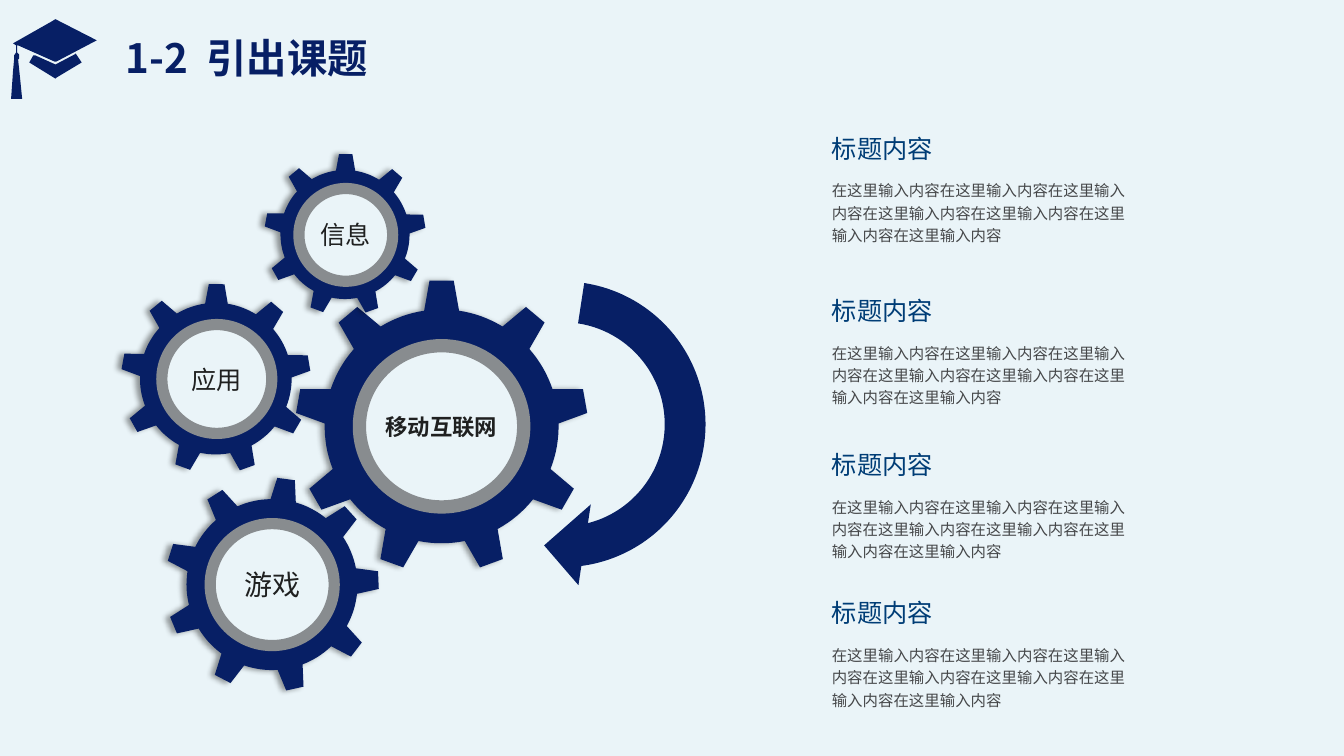
from math import cos, pi, radians, sin

from lxml.etree import SubElement
from pptx import Presentation
from pptx.dml.color import RGBColor
from pptx.enum.shapes import MSO_SHAPE as Shape
from pptx.enum.text import MSO_ANCHOR as Anchor, MSO_AUTO_SIZE as AutoSize, PP_ALIGN as Align
from pptx.oxml.ns import qn
from pptx.util import Inches, Pt

COLORS = {
    "background": "EAF4F8", "navy": "071F65", "ring": "888C8F",
    "hub_text": "1F2020", "heading": "003D76", "body": "454749",
}
FONT = "Noto Sans CJK SC"
TEETH = 9
BODY_TEXT = "在这里输入内容" * 7

GEARS = [
    ("移动互联网", 16, True, (4.38, 4.23), 1.45, (1.63, 1.6), 9.5, 0),
    ("游戏", 20, False, (2.7, 5.8), 1.06, (1.23, 1.21), 8, 7.6),
    ("应用", 18, False, (2.15, 3.76), 0.94, (1.09, 1.08), 8, 40.5),
    ("信息", 18, False, (3.43, 2.33), 0.8, (0.93, 0.92), 8, 40.5),
]
BODY_TOPS = [1.76, 3.37, 4.9, 6.37]

CAP_BOARD = [
    (0.17, 0.45), (0.17, 0.52), (0.19, 0.54), (0.19, 0.58), (0.18, 0.59),
    (0.2, 0.78), (0.22, 0.98), (0.11, 0.98), (0.13, 0.7), (0.14, 0.59),
    (0.14, 0.55), (0.16, 0.52), (0.16, 0.45), (0.13, 0.43), (0.5, 0.22),
    (0.55, 0.19), (0.96, 0.4), (0.56, 0.61), (0.54, 0.61), (0.18, 0.45),
]
CAP_BASE = [
    (0.29, 0.62), (0.33, 0.55), (0.35, 0.55), (0.55, 0.64), (0.74, 0.54),
    (0.75, 0.53), (0.81, 0.62), (0.56, 0.77), (0.55, 0.78),
]


def rgb(name):
    return RGBColor.from_string(COLORS[name])


def paint(shape, color):
    shape.shadow.inherit = False
    shape.fill.solid()
    shape.fill.fore_color.rgb = rgb(color)
    shape.line.fill.background()


def style_run(run, size, color, bold=False):
    run.font.name = FONT
    run.font.size = Pt(size)
    run.font.bold = bold
    run.font.color.rgb = rgb(color)
    SubElement(run.font._element, qn("a:ea"), typeface=FONT)


def add_outline(shapes, points, color):
    corners = [(Inches(x), Inches(y)) for x, y in points]
    builder = shapes.build_freeform(*corners[0])
    builder.add_line_segments(corners[1:], close=True)
    outline = builder.convert_to_shape()
    paint(outline, color)
    return outline


def add_soft_shadow(shape):
    effects = shape._element.spPr.find(qn("a:effectLst"))
    shadow = SubElement(effects, qn("a:outerShdw"), blurRad=str(Pt(4)), dist=str(Pt(3)),
                        dir="10800000", algn="r", rotWithShape="0")
    tint = SubElement(shadow, qn("a:srgbClr"), val="000000")
    SubElement(tint, qn("a:alpha"), val="40000")


def gear_points(center, radius):
    step = 2 * pi / TEETH
    root, tip_half, root_half = 0.8 * radius, 0.083, 0.15
    polar = []
    for tooth in range(TEETH):
        middle = tooth * step
        polar += [(root, middle - root_half), (radius, middle - tip_half),
                  (radius, middle + tip_half)]
        gap = step - 2 * root_half
        polar += [(root, middle + root_half + gap * part / 8) for part in range(8)]
    return [(center[0] + r * sin(angle), center[1] - r * cos(angle)) for r, angle in polar]


def add_gear(shapes, label, size, bold, center, radius, hub_size, ring_width, angle):
    gear = add_outline(shapes, gear_points(center, radius), "navy")
    gear.rotation = angle
    add_soft_shadow(gear)
    width, height = hub_size
    hub = shapes.add_shape(Shape.OVAL, Inches(center[0] - width / 2),
                           Inches(center[1] - height / 2), Inches(width), Inches(height))
    paint(hub, "background")
    hub.line.color.rgb = rgb("ring")
    hub.line.width = Pt(ring_width)
    frame = hub.text_frame
    clear_margins(frame)
    frame.word_wrap = False
    frame.vertical_anchor = Anchor.MIDDLE
    frame.text = label
    frame.paragraphs[0].alignment = Align.CENTER
    style_run(frame.paragraphs[0].runs[0], size, "hub_text", bold)


def clear_margins(frame):
    frame.margin_left = frame.margin_right = frame.margin_top = frame.margin_bottom = 0


def add_text(shapes, text, box, size, color, anchor, wrap, spacing=None):
    frame = shapes.add_textbox(*map(Inches, box)).text_frame
    clear_margins(frame)
    frame.word_wrap = wrap
    frame.auto_size = AutoSize.SHAPE_TO_FIT_TEXT
    frame.vertical_anchor = anchor
    frame.text = text
    paragraph = frame.paragraphs[0]
    if spacing:
        paragraph.line_spacing = spacing
    style_run(paragraph.runs[0], size, color)


def add_title(shapes):
    frame = shapes.add_textbox(Inches(1.15), Inches(0.09), Inches(2.8), Inches(0.77)).text_frame
    frame.word_wrap = True
    frame.vertical_anchor = Anchor.BOTTOM
    paragraph = frame.paragraphs[0]
    paragraph.line_spacing = 0.9
    for part in ("1-2", " ", "引出课题"):
        run = paragraph.add_run()
        run.text = part
        style_run(run, 28.8, "navy", True)
    paragraph.runs[1].font._element.set("spc", "650")


def add_turn_arrow(shapes):
    arrow = shapes.add_shape(Shape.CIRCULAR_ARROW, Inches(3.96), Inches(2.59),
                             Inches(3.24), Inches(3.24))
    arrow.rotation = 98.7
    paint(arrow, "navy")


def main():
    deck = Presentation()
    deck.slide_width, deck.slide_height = Inches(13.33), Inches(7.5)
    slide = deck.slides.add_slide(deck.slide_layouts[6])
    slide.background.fill.solid()
    slide.background.fill.fore_color.rgb = rgb("background")
    shapes = slide.shapes

    cap = shapes.add_group_shape().shapes
    for points in (CAP_BOARD, CAP_BASE):
        add_outline(cap, points, "navy")
    add_title(shapes)
    for gear in GEARS:
        add_gear(shapes, *gear)
    add_turn_arrow(shapes)
    for top in BODY_TOPS:
        add_text(shapes, BODY_TEXT, (8.25, top, 2.98, 0.67), 11, "body", Anchor.MIDDLE, True, 1.2)
        add_text(shapes, "标题内容", (8.25, top - 0.44, 1.01, 0.3), 18, "heading",
                 Anchor.BOTTOM, False)
    deck.save("out.pptx")


if __name__ == "__main__":
    main()
